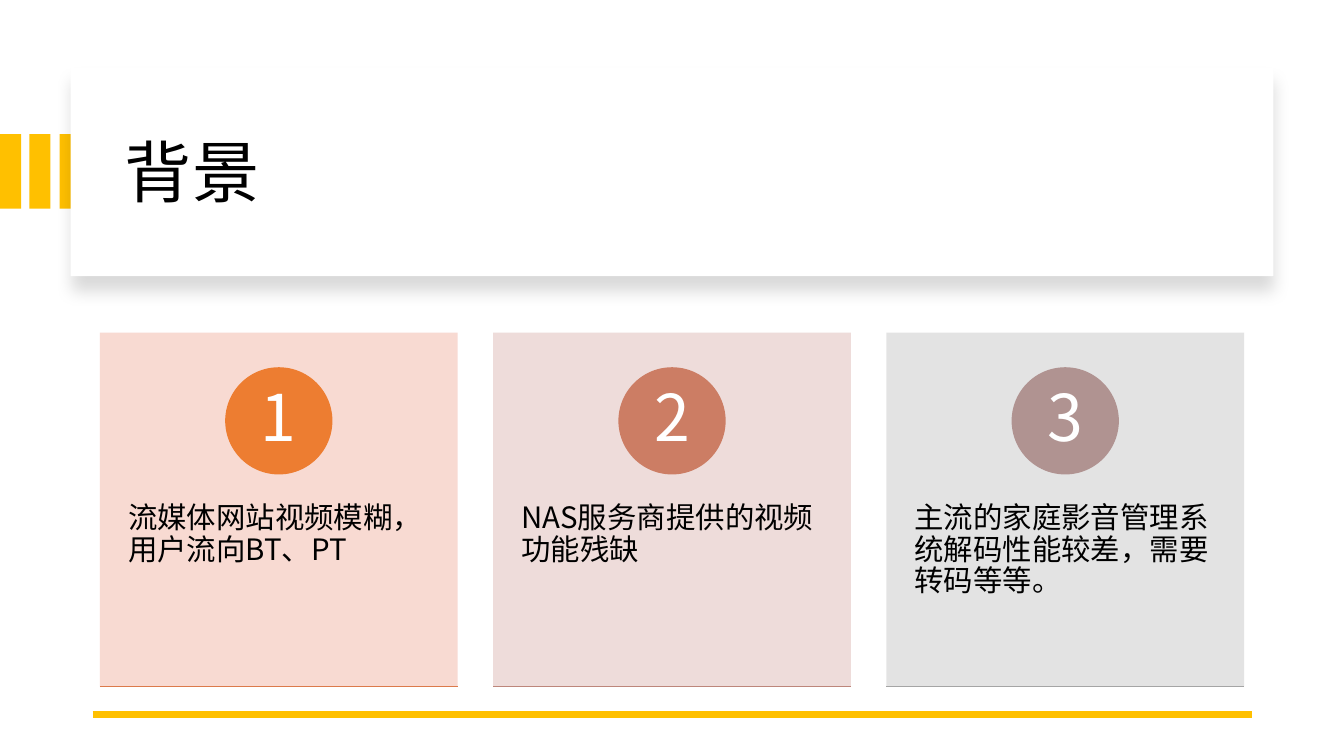
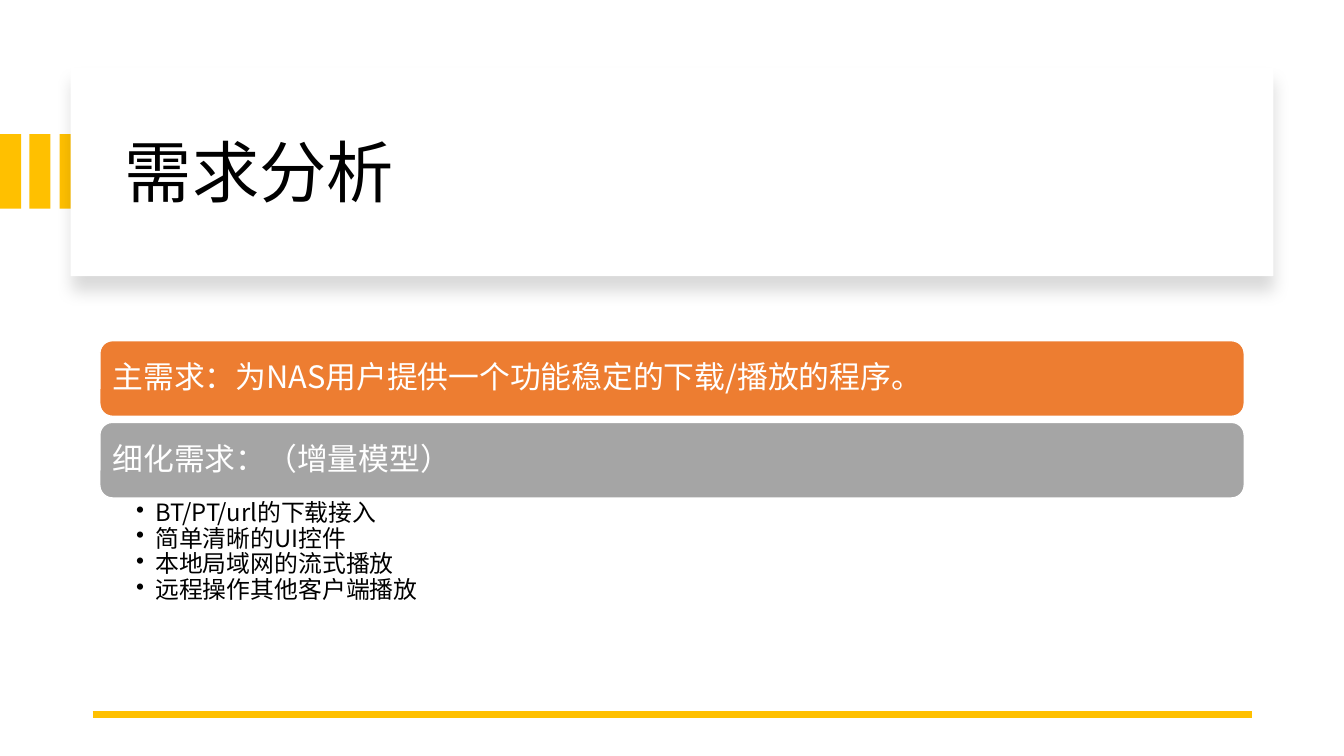
"""Build two slides: background cards and a requirement list."""
from lxml import etree
from pptx import Presentation, util as u
from pptx.dml.color import RGBColor
from pptx.enum import shapes, text
from pptx.oxml import ns

PX = 9144
FONT = "Noto Sans CJK JP"
GOLD, WHITE, BLACK = "FFC000", "FFFFFF", "000000"
ORANGE, GREY = "ED7D31", "A5A5A5"
KIND = shapes.MSO_SHAPE


def shape(page, kind, box, fill, edge=None):
    """Add a preset shape, or a connector when kind is None."""
    dims = [n * PX for n in box]
    if kind is None:
        item = page.shapes.add_connector(shapes.MSO_CONNECTOR.STRAIGHT, *dims)
        etree.SubElement(item._element.spPr, ns.qn("a:effectLst"))
        item.line.color.rgb = RGBColor.from_string(fill)
        item.line.width = u.Pt(edge)
        return item
    item = page.shapes.add_shape(kind, *dims)
    item.shadow.inherit = False
    item.fill.solid()
    item.fill.fore_color.rgb = RGBColor.from_string(fill)
    if edge:
        item.line.color.rgb = RGBColor.from_string(edge)
        item.line.width = u.Pt(1)
    else:
        item.line.fill.background()
    return item


def write(item, lines, size, color=BLACK, pad=(10, 5, 10, 5), center=False,
          middle=True, bullet=False):
    """Fill a shape or text box with formatted paragraphs."""
    frame = item.text_frame
    frame.word_wrap = True
    frame.vertical_anchor = text.MSO_ANCHOR.MIDDLE if middle else text.MSO_ANCHOR.TOP
    frame.margin_left, frame.margin_top, frame.margin_right, frame.margin_bottom = [
        n * PX for n in pad]
    for i, line in enumerate(lines):
        para = frame.paragraphs[0] if i == 0 else frame.add_paragraph()
        para.alignment = text.PP_ALIGN.CENTER if center else text.PP_ALIGN.LEFT
        para.line_spacing = 0.9
        run = para.add_run()
        run.text = line
        run.font.size = u.Pt(size)
        run.font.name = FONT
        run.font.color.rgb = RGBColor.from_string(color)
        etree.SubElement(run.font._element, ns.qn("a:ea"), typeface=FONT)
        if bullet:
            props = para._p.get_or_add_pPr()
            props.set("marL", str(19 * PX))
            props.set("indent", str(-19 * PX))
            etree.SubElement(props, ns.qn("a:buChar"), char="•")


deck = Presentation()
deck.slide_width, deck.slide_height = u.Inches(13.33), u.Inches(7.5)

pages = []
for title in ["背景", "需求分析"]:
    page = deck.slides.add_slide(deck.slide_layouts[6])
    pages.append(page)
    for left in [0, 29, 59]:
        shape(page, KIND.RECTANGLE, (left, 133, 21, 74), GOLD)
    panel = shape(page, KIND.RECTANGLE, (70, 67, 1193, 207), WHITE)
    glow = etree.SubElement(
        panel._element.spPr.find(ns.qn("a:effectLst")), ns.qn("a:outerShdw"),
        blurRad=str(u.Pt(11)), dist=str(u.Pt(10)), dir="5400000", rotWithShape="0")
    tint = etree.SubElement(glow, ns.qn("a:srgbClr"), val=BLACK)
    etree.SubElement(tint, ns.qn("a:alpha"), val="15000")
    head = page.shapes.add_textbox(114 * PX, 89 * PX, 1113 * PX, 170 * PX)
    write(head, [title], 48)
    shape(page, None, (92, 709, 1242, 709), GOLD, 4.5)

cards = [
    ("流媒体网站视频模糊，用户流向BT、PT", "F8D7CE", ORANGE, "DC7A4B"),
    ("NAS服务商提供的视频功能残缺", "EDD9D7", "CC7D64", "BD867B"),
    ("主流的家庭影音管理系统解码性能较差，需要转码等等。", "E1E1E1", "B09391", GREY),
]
for i, (body, fill, disc, base) in enumerate(cards):
    left = 99 + 390 * i
    card = shape(pages[0], KIND.RECTANGLE, (left, 330, 355, 351), fill)
    shade = card._element.spPr.find(".//" + ns.qn("a:srgbClr"))
    etree.SubElement(shade, ns.qn("a:alpha"), val="90000")
    write(card, [body], 21, pad=(28, 169, 28, 36), middle=False)
    badge = shape(pages[0], KIND.OVAL, (left + 125, 365, 105, 105), disc, disc)
    write(badge, [str(i + 1)], 46, WHITE, pad=(8, 1, 8, 1), center=True)
    shape(pages[0], None, (left, 681, left + 355, 681), base, 1)

needs = [
    ("主需求：为NAS用户提供一个功能稳定的下载/播放的程序。", ORANGE),
    ("细化需求：（增量模型）", GREY),
]
for i, (need, fill) in enumerate(needs):
    bar = shape(pages[1], KIND.ROUNDED_RECTANGLE, (99, 338 + 81 * i, 1135, 75), fill, WHITE)
    write(bar, [need], 22, WHITE, pad=(9, 9, 9, 9))

points = ["BT/PT/url的下载接入", "简单清晰的UI控件", "本地局域网的流式播放", "远程操作其他客户端播放"]
area = pages[1].shapes.add_textbox(99 * PX, 494 * PX, 1135 * PX, 179 * PX)
write(area, points, 17, pad=(36, 3, 17, 3), middle=False, bullet=True)

deck.save("out.pptx")
